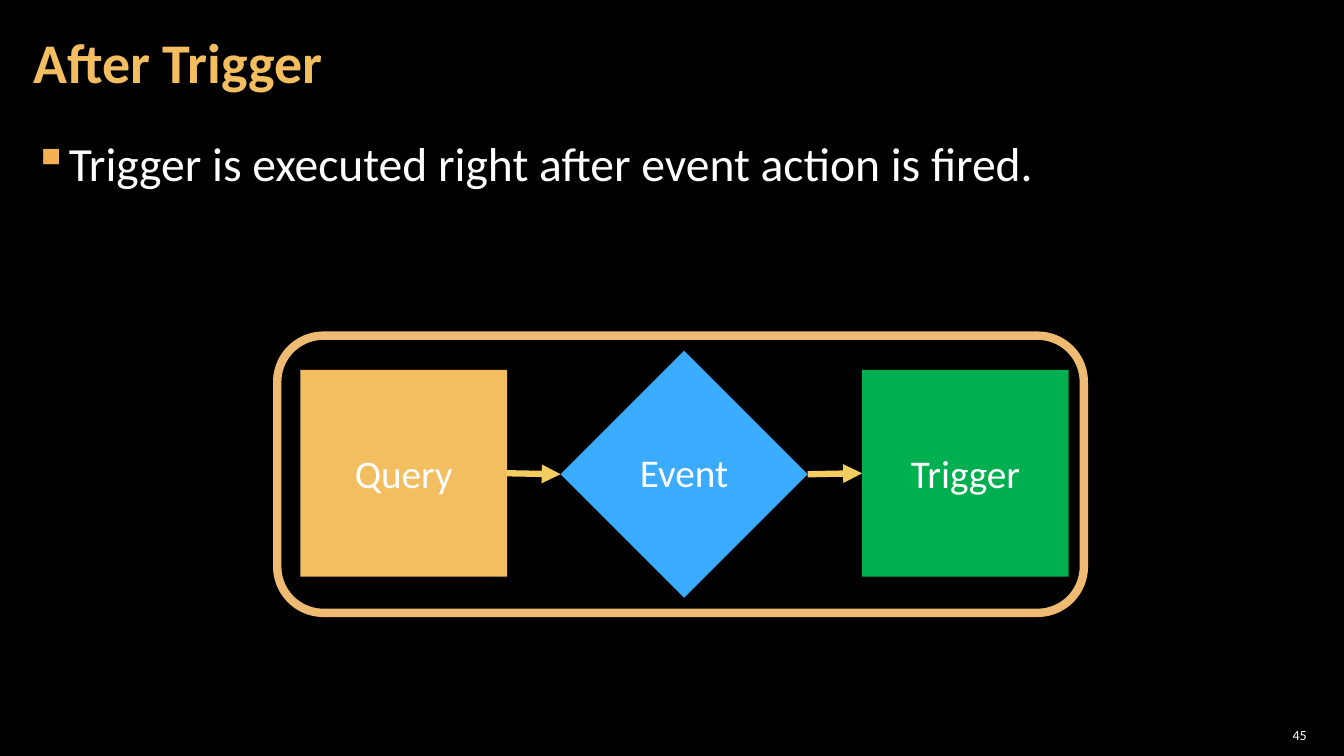
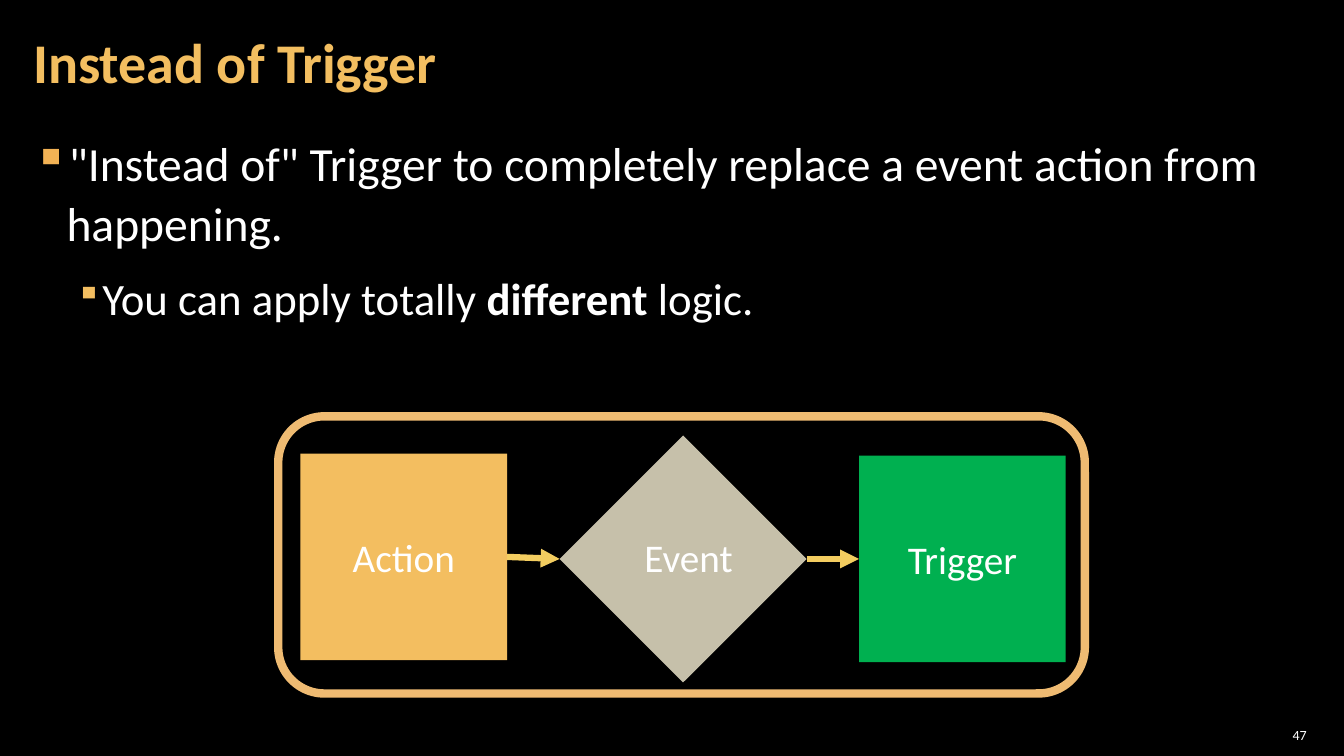
from dataclasses import dataclass
from typing import Optional

import lxml.etree
import pptx
import pptx.dml.color
import pptx.enum.shapes
import pptx.enum.text
import pptx.oxml.ns
import pptx.util

Inches = pptx.util.Inches
Pt = pptx.util.Pt
ShapeType = pptx.enum.shapes.MSO_SHAPE
Align = pptx.enum.text.PP_ALIGN
Anchor = pptx.enum.text.MSO_ANCHOR

# Shared look
FONT = "Calibri"
BLACK, WHITE = "000000", "FFFFFF"
GOLD, GREEN, BLUE, STONE = "F3BE60", "00B050", "3BABFF", "C6C0AA"
BULLET_ORANGE, ARROW_YELLOW, FRAME_ORANGE = "F2B254", "F3CD60", "EFBB72"
BOX_SIDE, DIAMOND_SIDE = 2.05, 2.45
FRAME_SIZE = (8, 2.75)
PLACEHOLDER_INSETS = (0.12, 0.04)


@dataclass(frozen=True)
class BulletLevel:
    margin: float
    hanging: float
    size: int
    color: str
    scale: Optional[int] = None


LEVELS = (
    BulletLevel(0.33, 0.33, 34, BULLET_ORANGE),
    BulletLevel(0.67, 0.25, 32, GOLD, 80),
)


@dataclass(frozen=True)
class Bullet:
    runs: tuple[tuple[str, bool], ...]  # text, bold
    level: int = 0


@dataclass(frozen=True)
class Node:
    text: str
    color: str
    left: float
    top: float


@dataclass(frozen=True)
class TriggerSlide:
    title: str
    number: str
    bullets: tuple[Bullet, ...]
    frame: tuple[float, float]
    source: Node
    event: Node
    label_box: tuple[float, float, float, float]
    trigger: Node


SLIDES = (
    TriggerSlide(
        title="After Trigger",
        number="45",
        bullets=(Bullet((("Trigger is executed right after event action is fired.", False),)),),
        frame=(2.75, 3.33),
        source=Node("Query", GOLD, 2.98, 3.67),
        event=Node("Event", BLUE, 5.56, 3.48),
        label_box=(5.86, 4.4, 1.85, 0.57),
        trigger=Node("Trigger", GREEN, 8.55, 3.67),
    ),
    TriggerSlide(
        title="Instead of Trigger",
        number="47",
        bullets=(
            Bullet((('"Instead of" Trigger to completely replace a event action from happening.', False),)),
            Bullet((("You can apply totally ", False), ("different", True), (" logic.", False)), level=1),
        ),
        frame=(2.76, 4.13),
        source=Node("Action", GOLD, 2.98, 4.5),
        event=Node("Event", STONE, 5.55, 4.32),
        label_box=(6.07, 5.24, 1.52, 0.57),
        trigger=Node("Trigger", GREEN, 8.52, 4.52),
    ),
)


# Helpers
def rgb(color: str) -> pptx.dml.color.RGBColor:
    return pptx.dml.color.RGBColor.from_string(color)


def add_element(parent, tag: str, **attributes: str):
    return lxml.etree.SubElement(parent, pptx.oxml.ns.qn(tag), attributes)


def add_run(paragraph, text: str, *, size: float, color: str = WHITE, bold: bool = False) -> None:
    run = paragraph.add_run()
    run.text = text
    run.font.name = FONT
    run.font.size = Pt(size)
    run.font.bold = bold
    run.font.color.rgb = rgb(color)


def write_text(shape, text: str, *, size: float, color: str = WHITE, bold: bool = False,
               align=Align.LEFT, anchor=Anchor.MIDDLE, line_spacing: Optional[float] = None) -> None:
    shape.text_frame.vertical_anchor = anchor
    paragraph = shape.text_frame.paragraphs[0]
    paragraph.alignment = align
    paragraph.line_spacing = line_spacing
    add_run(paragraph, text, size=size, color=color, bold=bold)


def add_text_box(slide, left: float, top: float, width: float, height: float,
                 insets: tuple[float, float] = (0.1, 0.05)):
    box = slide.shapes.add_textbox(Inches(left), Inches(top), Inches(width), Inches(height))
    frame = box.text_frame
    frame.word_wrap = True
    frame.margin_left = frame.margin_right = Inches(insets[0])
    frame.margin_top = frame.margin_bottom = Inches(insets[1])
    return box


def add_preset(slide, kind, left: float, top: float, width: float, height: float,
               fill: Optional[str] = None):
    shape = slide.shapes.add_shape(kind, Inches(left), Inches(top), Inches(width), Inches(height))
    shape.shadow.inherit = False
    shape.line.fill.background()
    if fill:
        shape.fill.solid()
        shape.fill.fore_color.rgb = rgb(fill)
    else:
        shape.fill.background()
    return shape


def add_box(slide, node: Node):
    box = add_preset(slide, ShapeType.RECTANGLE, node.left, node.top, BOX_SIDE, BOX_SIDE, node.color)
    write_text(box, node.text, size=28, align=Align.CENTER)
    return box


def add_arrow(slide, start, end) -> None:
    """Join the right side of start to the left side of end."""
    arrow = slide.shapes.add_connector(pptx.enum.shapes.MSO_CONNECTOR.STRAIGHT, 0, 0, 0, 0)
    arrow.begin_connect(start, 3)
    arrow.end_connect(end, 1)
    arrow.line.color.rgb = rgb(ARROW_YELLOW)
    arrow.line.width = Pt(4.5)
    add_element(arrow.line._get_or_add_ln(), "a:tailEnd", type="triangle")
    add_element(arrow._element.spPr, "a:effectLst")


def add_bullets(slide, bullets: tuple[Bullet, ...]) -> None:
    frame = add_text_box(slide, 0.21, 1.26, 12.91, 6.09, PLACEHOLDER_INSETS).text_frame
    for index, bullet in enumerate(bullets):
        level = LEVELS[bullet.level]
        paragraph = frame.add_paragraph() if index else frame.paragraphs[0]
        paragraph.level = bullet.level
        properties = paragraph._p.get_or_add_pPr()
        properties.set("marL", str(Inches(level.margin)))
        properties.set("indent", str(-Inches(level.hanging)))
        add_element(add_element(properties, "a:buClr"), "a:srgbClr", val=level.color)
        if level.scale:
            add_element(properties, "a:buSzPct", val=str(level.scale * 1000))
        add_element(properties, "a:buChar", char="▪")
        paragraph.line_spacing = 1.05
        paragraph.space_before = Pt(6 if index else 0)
        paragraph.space_after = Pt(6)
        for text, bold in bullet.runs:
            add_run(paragraph, text, size=level.size, bold=bold)


def add_flow(slide, content: TriggerSlide) -> None:
    source = add_box(slide, content.source)
    trigger = add_box(slide, content.trigger)
    event = content.event
    diamond = add_preset(slide, ShapeType.DIAMOND, event.left, event.top,
                         DIAMOND_SIDE, DIAMOND_SIDE, event.color)
    label = add_text_box(slide, *content.label_box)
    write_text(label, event.text, size=28, align=Align.CENTER, anchor=Anchor.TOP)
    add_arrow(slide, source, diamond)
    add_arrow(slide, diamond, trigger)
    frame = add_preset(slide, ShapeType.ROUNDED_RECTANGLE, *content.frame, *FRAME_SIZE)
    frame.line.color.rgb = rgb(FRAME_ORANGE)
    frame.line.width = Pt(6)


def add_trigger_slide(presentation, content: TriggerSlide) -> None:
    slide = presentation.slides.add_slide(presentation.slide_layouts[6])
    # Title, body and slide number
    title = add_text_box(slide, 0.21, 0.04, 10.47, 1.21, PLACEHOLDER_INSETS)
    write_text(title, content.title, size=40, color=GOLD, bold=True, line_spacing=0.9)
    add_bullets(slide, content.bullets)
    number = add_text_box(slide, 12.5, 7.17, 0.5, 0.25, (0.04, 0.04))
    write_text(number, content.number, size=10, align=Align.RIGHT)
    # Diagram
    add_flow(slide, content)


def main() -> None:
    presentation = pptx.Presentation()
    presentation.slide_width = Inches(13.33)
    presentation.slide_height = Inches(7.5)
    background = presentation.slide_master.background.fill
    background.solid()
    background.fore_color.rgb = rgb(BLACK)
    for content in SLIDES:
        add_trigger_slide(presentation, content)
    presentation.save("out.pptx")


if __name__ == "__main__":
    main()
